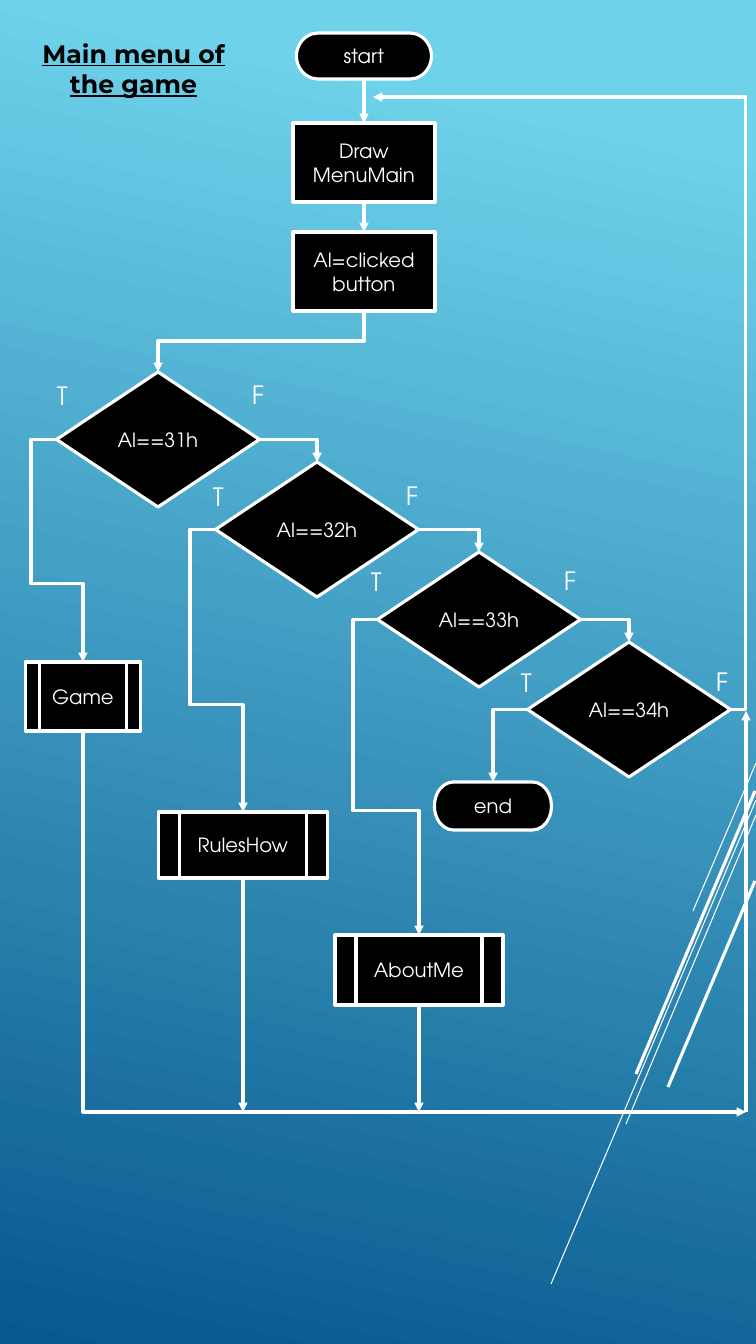
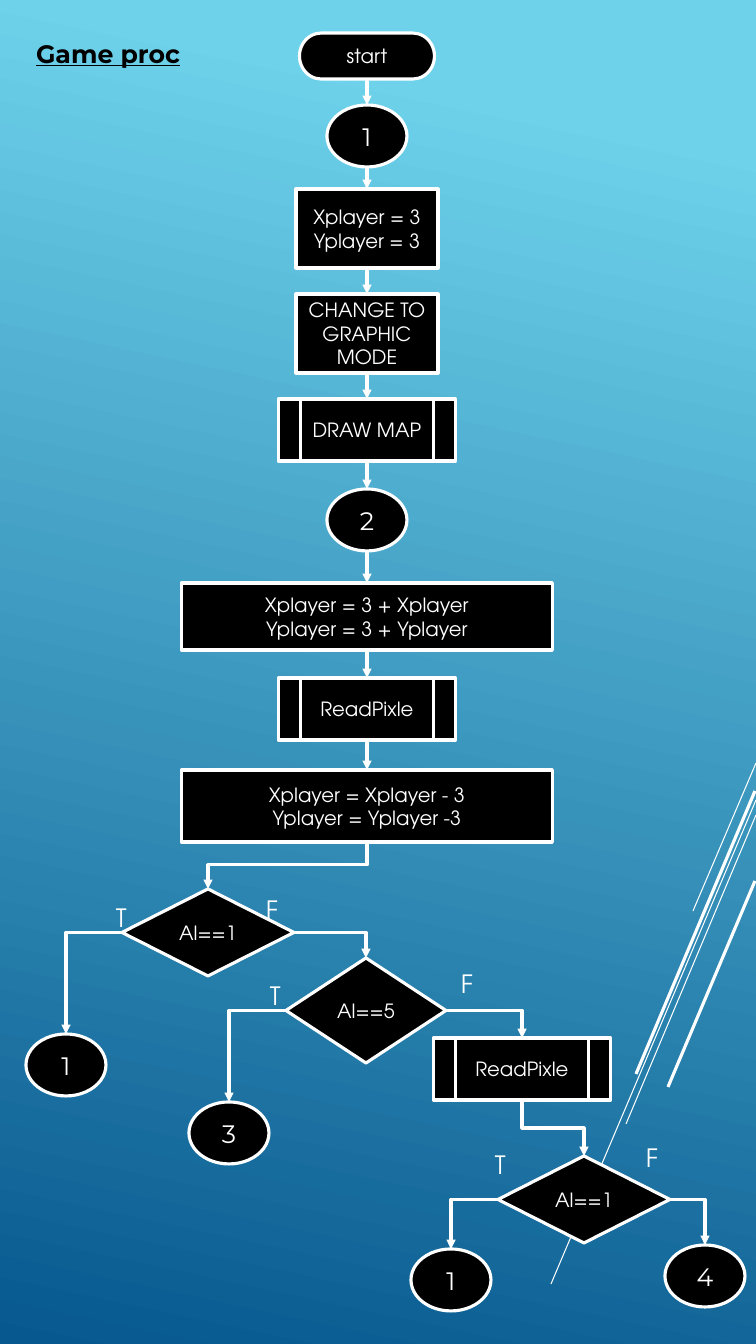
"""Builds two flowchart slides: the main menu and the game procedure."""
from dataclasses import dataclass

from lxml import etree
from pptx import Presentation
from pptx.dml.color import RGBColor
from pptx.enum.shapes import MSO_CONNECTOR, MSO_SHAPE
from pptx.enum.text import MSO_ANCHOR, MSO_AUTO_SIZE, PP_ALIGN
from pptx.oxml.ns import qn
from pptx.util import Pt

PX = 9071
TOP, LEFT, BOTTOM, RIGHT = range(4)
TERMINATOR = MSO_SHAPE.FLOWCHART_TERMINATOR
PROCESS = MSO_SHAPE.FLOWCHART_PROCESS
DECISION = MSO_SHAPE.FLOWCHART_DECISION
SUBROUTINE = MSO_SHAPE.FLOWCHART_PREDEFINED_PROCESS
CIRCLE = MSO_SHAPE.FLOWCHART_CONNECTOR
STRAIGHT, ELBOW = MSO_CONNECTOR.STRAIGHT, MSO_CONNECTOR.ELBOW
ALIGN_LEFT, ALIGN_CENTER = PP_ALIGN.LEFT, PP_ALIGN.CENTER


@dataclass(frozen=True)
class Theme:
    white: RGBColor = RGBColor(0xFF, 0xFF, 0xFF)
    black: RGBColor = RGBColor(0x00, 0x00, 0x00)
    sky: RGBColor = RGBColor(0x6E, 0xD2, 0xEB)
    deep: RGBColor = RGBColor(0x06, 0x58, 0x8E)
    heading_font: str = "Montserrat"
    body_font: str = "TeX Gyre Adventor"
    large: int = Pt(18)
    normal: int = Pt(14)
    thick: int = Pt(2.25)
    thin: int = Pt(0.75)


theme = Theme()


def add_node(slide, kind, text, center, top, width, height):
    """Add a flowchart shape centred on the given x."""
    shape = slide.shapes.add_shape(
        kind, round((center - width / 2) * PX), top * PX, width * PX, height * PX)
    shape.shadow.inherit = False
    shape.fill.solid()
    shape.fill.fore_color.rgb = theme.black
    shape.line.color.rgb = theme.white
    shape.line.width = theme.thick
    shape.text_frame.text = text
    for paragraph in shape.text_frame.paragraphs:
        paragraph.alignment = ALIGN_CENTER
        font = paragraph.runs[0].font
        font.name = theme.heading_font if kind == CIRCLE else theme.body_font
        font.size = theme.large if kind == CIRCLE else theme.normal
        font.color.rgb = theme.white
    return shape


def add_link(slide, start, end, side=BOTTOM, bends=None, width=theme.thick, arrow=True):
    """Join shapes or (x, y) points; bends are the turning coordinates of an elbow."""
    connector = slide.shapes.add_connector(STRAIGHT if bends is None else ELBOW, 0, 0, 0, 0)
    if isinstance(start, tuple):
        connector.begin_x, connector.begin_y = start[0] * PX, start[1] * PX
    else:
        connector.begin_connect(start, side)
    if isinstance(end, tuple):
        connector.end_x, connector.end_y = end[0] * PX, end[1] * PX
    else:
        connector.end_connect(end, TOP)
    connector.line.color.rgb = theme.white
    connector.line.width = width
    properties = connector.element.spPr
    if arrow:
        etree.SubElement(properties.find(qn("a:ln")), qn("a:tailEnd"), type="triangle")
    etree.SubElement(properties, qn("a:effectLst"))
    if bends is None:
        return connector

    x, y = connector.begin_x, connector.begin_y
    across, down = connector.end_x - x, connector.end_y - y
    geometry = properties.find(qn("a:prstGeom"))
    geometry.set("prst", f"bentConnector{2 + len(bends)}")
    for index, bend in enumerate(bends):
        along_y = (side == BOTTOM) != (index % 2 == 1)
        origin, span = (y, down) if along_y else (x, across)
        value = round((bend * PX - origin) / span * 100000)
        etree.SubElement(geometry.find(qn("a:avLst")), qn("a:gd"),
                         name=f"adj{index + 1}", fmla=f"val {value}")
    transform = properties.xfrm
    if side == LEFT:
        transform.rot = 180
        transform.flipH, transform.flipV = across > 0, down > 0
    elif side == BOTTOM:
        connector.left = round(x + (across - abs(down)) / 2)
        connector.top = round(y + (down - abs(across)) / 2)
        connector.width, connector.height = abs(down), abs(across)
        transform.rot = 270 if across > 0 else 90
        transform.flipH, transform.flipV = across > 0, False
    return connector


presentation = Presentation()
presentation.slide_width = 756 * PX
presentation.slide_height = 1344 * PX
layout = presentation.slide_layouts[5]

background = presentation.slide_master.background.fill
background.gradient()
background.gradient_angle = 258
for stop, position, color in zip(background.gradient_stops, (0.1, 1), (theme.sky, theme.deep)):
    stop.position = position
    stop.color.rgb = color

titles = [
    ("Main menu of the game", 25, 217, 72, ALIGN_CENTER),
    ("Game proc", 26, 244, 40, ALIGN_LEFT),
]
branch_labels = [
    [("T", 47, 375), ("F", 242, 374), ("T", 203, 476), ("F", 396, 475),
     ("T", 361, 561), ("F", 554, 560), ("T", 511, 662), ("F", 706, 661)],
    [("T", 106, 897), ("F", 256, 889), ("T", 260, 975), ("F", 451, 963),
     ("T", 485, 1144), ("F", 636, 1137)],
]
for (text, left, width, height, alignment), labels in zip(titles, branch_labels):
    slide = presentation.slides.add_slide(layout)
    title = slide.shapes.title
    title.left, title.top, title.width, title.height = (
        left * PX, 33 * PX, width * PX, height * PX)
    title.text_frame.text = text
    title.text_frame.word_wrap = True
    title.text_frame.auto_size = MSO_AUTO_SIZE.NONE
    title.text_frame.vertical_anchor = MSO_ANCHOR.TOP
    paragraph = title.text_frame.paragraphs[0]
    paragraph.alignment = alignment
    font = paragraph.runs[0].font
    font.name, font.size = theme.heading_font, theme.large
    font.bold = font.underline = True
    font.color.rgb = theme.black
    for letter, left, top in labels:
        label = slide.shapes.add_textbox(left * PX, top * PX, 35 * PX, 40 * PX)
        label.text_frame.word_wrap = True
        label.text_frame.text = letter
        font = label.text_frame.paragraphs[0].runs[0].font
        font.name, font.size = theme.body_font, theme.large
        font.color.rgb = theme.white

menu_slide, game_slide = presentation.slides

streaks = [
    ((756, 763), (693, 911), theme.thin),
    ((756, 800), (551, 1284), theme.thin),
    ((756, 815), (626, 1124), theme.thin),
    ((755, 791), (636, 1074), theme.thick),
    ((755, 881), (668, 1087), theme.thick),
]
for number, (start, end, width) in enumerate(streaks):
    streak = add_link(menu_slide, start, end, width=width, arrow=False)
    streak.element.nvCxnSpPr.cNvPr.set("id", str(100 + number))
    layout.shapes.element.append(streak.element)

menu_start = add_node(menu_slide, TERMINATOR, "start", 364, 33, 135, 46)
draw_menu = add_node(menu_slide, PROCESS, "Draw MenuMain", 364, 123, 142, 79)
read_button = add_node(menu_slide, PROCESS, "Al=clicked button", 364, 232, 142, 79)
choices = [
    add_node(menu_slide, DECISION, f"Al=={31 + index}h", center, 372 + 90 * index, 203, 135)
    for index, center in enumerate((158, 317, 479, 629))
]
game = add_node(menu_slide, SUBROUTINE, "Game", 83, 662, 115, 69)
rules = add_node(menu_slide, SUBROUTINE, "RulesHow", 243, 812, 169, 66)
about = add_node(menu_slide, SUBROUTINE, "AboutMe", 419, 935, 168, 70)
menu_end = add_node(menu_slide, TERMINATOR, "end", 493, 782, 117, 48)

add_link(menu_slide, menu_start, draw_menu)
add_link(menu_slide, draw_menu, read_button)
add_link(menu_slide, read_button, choices[0], BOTTOM, (341,))
for choice, following in zip(choices, choices[1:]):
    add_link(menu_slide, choice, following, RIGHT, ())
targets = [(game, (31, 584)), (rules, (190, 705)), (about, (353, 811)), (menu_end, ())]
for choice, (target, bends) in zip(choices, targets):
    add_link(menu_slide, choice, target, LEFT, bends)
add_link(menu_slide, choices[-1], (373, 97), RIGHT, (746,))
add_link(menu_slide, game, (746, 1112), BOTTOM, ())
add_link(menu_slide, rules, (243, 1112))
add_link(menu_slide, about, (419, 1112))
add_link(menu_slide, (746, 1112), (746, 711))

column = 367
steps = [
    (TERMINATOR, "start", 33, 135, 46),
    (CIRCLE, "1", 105, 80, 62),
    (PROCESS, "Xplayer = 3\nYplayer = 3", 189, 142, 79),
    (PROCESS, "CHANGE TO GRAPHIC MODE", 294, 142, 79),
    (SUBROUTINE, "DRAW MAP", 399, 177, 62),
    (CIRCLE, "2", 489, 80, 62),
    (PROCESS, "Xplayer = 3 + Xplayer\nYplayer = 3 + Yplayer", 583, 371, 67),
    (SUBROUTINE, "ReadPixle", 678, 177, 62),
    (PROCESS, "Xplayer = Xplayer - 3\nYplayer = Yplayer -3", 770, 371, 72),
]
previous = None
for kind, text, top, width, height in steps:
    step = add_node(game_slide, kind, text, column, top, width, height)
    if previous:
        add_link(game_slide, previous, step)
    previous = (column, top + height) if kind == CIRCLE else step

first_check = add_node(game_slide, DECISION, "Al==1", 208, 889, 172, 87)
second_check = add_node(game_slide, DECISION, "Al==5", 366, 958, 160, 105)
read_again = add_node(game_slide, SUBROUTINE, "ReadPixle", 522, 1038, 177, 62)
last_check = add_node(game_slide, DECISION, "Al==1", 584, 1156, 172, 87)
add_link(game_slide, step, first_check, BOTTOM, (865,))
add_link(game_slide, first_check, second_check, RIGHT, ())
add_link(game_slide, second_check, read_again, RIGHT, ())
add_link(game_slide, read_again, last_check, BOTTOM, (1128,))

exits = [
    (first_check, LEFT, "1", 66, 1034),
    (second_check, LEFT, "3", 229, 1102),
    (last_check, LEFT, "1", 451, 1249),
    (last_check, RIGHT, "4", 705, 1245),
]
for check, side, text, center, top in exits:
    circle = add_node(game_slide, CIRCLE, text, center, top, 80, 62)
    add_link(game_slide, check, circle, side, ())

presentation.save("out.pptx")
